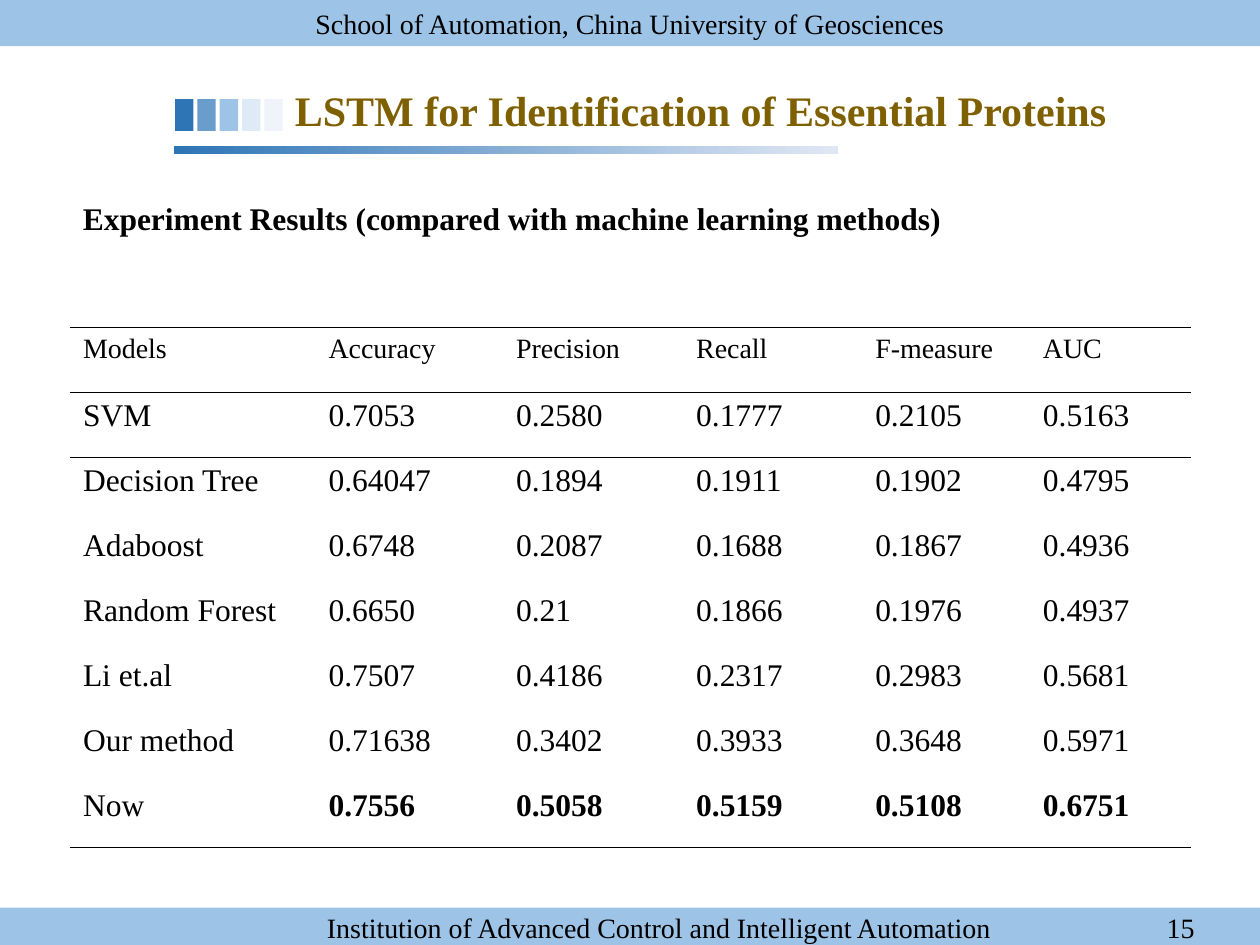
from dataclasses import dataclass
from typing import Optional

from lxml import etree
from pptx import Presentation
from pptx import util as u
from pptx.dml.color import RGBColor
from pptx.enum import shapes, text
from pptx.oxml import ns

FONT = "Times New Roman"
BLACK = RGBColor(0x00, 0x00, 0x00)
WHITE = RGBColor(0xFF, 0xFF, 0xFF)
GOLD = RGBColor(0x7F, 0x60, 0x00)
SKY = RGBColor(0x9D, 0xC3, 0xE6)
DEEP_BLUE = RGBColor(0x2E, 0x75, 0xB6)
PALE_BLUE = RGBColor(0xDE, 0xEB, 0xF7)
MIST = RGBColor(0xE0, 0xE7, 0xF4)
LEFT, CENTER, RIGHT = text.PP_ALIGN.LEFT, text.PP_ALIGN.CENTER, text.PP_ALIGN.RIGHT
TOP, MIDDLE = text.MSO_ANCHOR.TOP, text.MSO_ANCHOR.MIDDLE
NO_STYLE_TABLE = "{2D5ABB26-0587-4C30-8999-92F81FD0307C}"


@dataclass
class Box:
    """Position and size in centimetres."""
    left: float
    top: float
    width: float
    height: float

    def lengths(self) -> tuple:
        return tuple(u.Cm(v) for v in (self.left, self.top, self.width, self.height))


@dataclass
class Tile:
    color: RGBColor
    opacity: Optional[int] = None


@dataclass
class Label:
    content: str
    box: Box
    size: int = 16
    bold: bool = False
    align: int = CENTER
    anchor: int = MIDDLE


TILES = [Tile(DEEP_BLUE), Tile(DEEP_BLUE, 71), Tile(SKY), Tile(PALE_BLUE), Tile(PALE_BLUE, 50)]
TILE_PITCH = 0.45

LABELS = [
    Label("Institution of Advanced Control and Intelligent Automation",
          Box(5.45, 18.19, 15.67, 1.02)),
    Label("15", Box(22.73, 18.19, 1.6, 1.02), align=RIGHT),
    Label("Experiment Results (compared with machine learning methods)",
          Box(1.42, 3.89, 20.83, 1.2), size=18, bold=True, align=LEFT, anchor=TOP),
]

RESULTS = [
    ("Models", "Accuracy", "Precision", "Recall", "F-measure", "AUC"),
    ("SVM", "0.7053", "0.2580", "0.1777", "0.2105", "0.5163"),
    ("Decision Tree", "0.64047", "0.1894", "0.1911", "0.1902", "0.4795"),
    ("Adaboost", "0.6748", "0.2087", "0.1688", "0.1867", "0.4936"),
    ("Random Forest", "0.6650", "0.21", "0.1866", "0.1976", "0.4937"),
    ("Li et.al", "0.7507", "0.4186", "0.2317", "0.2983", "0.5681"),
    ("Our method", "0.71638", "0.3402", "0.3933", "0.3648", "0.5971"),
    ("Now", "0.7556", "0.5058", "0.5159", "0.5108", "0.6751"),
]
COLUMN_WIDTHS = [4.95, 3.78, 3.63, 3.61, 3.38, 3.24]
ROW_HEIGHT = 1.31
UNFILLED_ROWS = {0, 2}


def write_text(frame, content: str, size: int = 16, bold: bool = False,
               color: RGBColor = BLACK, align: int = LEFT) -> None:
    paragraph = frame.paragraphs[0]
    paragraph.alignment = align
    run = paragraph.add_run()
    run.text = content
    run.font.name, run.font.size = FONT, u.Pt(size)
    run.font.bold, run.font.color.rgb = bold, color


def add_bar(slide, box: Box, color: RGBColor, opacity: Optional[int] = None,
            fade_to: Optional[RGBColor] = None):
    bar = slide.shapes.add_shape(shapes.MSO_SHAPE.RECTANGLE, *box.lengths())
    bar.shadow.inherit = False
    bar.line.fill.background()
    if fade_to is not None:
        bar.fill.gradient()
        bar.fill.gradient_angle = 0
        for stop, shade in zip(bar.fill.gradient_stops, (color, fade_to)):
            stop.color.rgb = shade
        return bar
    bar.fill.solid()
    bar.fill.fore_color.rgb = color
    if opacity is not None:
        rgb = bar.fill._xPr.find(".//" + ns.qn("a:srgbClr"))
        etree.SubElement(rgb, ns.qn("a:alpha"), val=str(opacity * 1000))
    return bar


def add_label(slide, label: Label) -> None:
    frame = slide.shapes.add_textbox(*label.box.lengths()).text_frame
    frame.word_wrap = True
    frame.vertical_anchor = label.anchor
    write_text(frame, label.content, size=label.size, bold=label.bold, align=label.align)


def rule_cell(cell, edge: str) -> None:
    """Draw a thin black line on the cell's edge, "lnT" or "lnB"."""
    line = etree.SubElement(cell._tc.get_or_add_tcPr(), ns.qn(f"a:{edge}"), w=str(u.Pt(0.45)))
    fill = etree.SubElement(line, ns.qn("a:solidFill"))
    etree.SubElement(fill, ns.qn("a:srgbClr"), val=str(BLACK))


def add_results_table(slide) -> None:
    box = Box(1.42, 6.6, sum(COLUMN_WIDTHS), ROW_HEIGHT * len(RESULTS))
    table = slide.shapes.add_table(len(RESULTS), len(COLUMN_WIDTHS), *box.lengths()).table
    table._tbl.tblPr.find(ns.qn("a:tableStyleId")).text = NO_STYLE_TABLE
    table.first_row = table.horz_banding = False
    for column, width in zip(table.columns, COLUMN_WIDTHS):
        column.width = u.Cm(width)
    last = len(RESULTS) - 1
    for r, values in enumerate(RESULTS):
        table.rows[r].height = u.Cm(ROW_HEIGHT)
        for c, value in enumerate(values):
            cell = table.cell(r, c)
            write_text(cell.text_frame, value, size=18 if r else 16, bold=r == last and c > 0)
            if r in (0, 1):
                rule_cell(cell, "lnT")
            if r in (0, last):
                rule_cell(cell, "lnB")
            if r in UNFILLED_ROWS:
                cell.fill.background()
            else:
                cell.fill.solid()
                cell.fill.fore_color.rgb = WHITE


def add_title(slide, content: str, box: Box) -> None:
    title = slide.shapes.title
    title.left, title.top, title.width, title.height = box.lengths()
    frame = title.text_frame
    frame.auto_size = text.MSO_AUTO_SIZE.NONE
    frame.vertical_anchor = TOP
    write_text(frame, content, size=24, bold=True, color=GOLD)


def main() -> None:
    deck = Presentation()
    deck.slide_width, deck.slide_height = u.Cm(25.4), u.Cm(19.05)
    slide = deck.slides.add_slide(deck.slide_layouts[5])

    header = add_bar(slide, Box(0, 0, 25.4, 0.93), SKY)
    header.text_frame.vertical_anchor = MIDDLE
    write_text(header.text_frame, "School of Automation, China University of Geosciences",
               align=CENTER)
    add_bar(slide, Box(0, 18.3, 25.4, 0.75), SKY)

    for i, tile in enumerate(TILES):
        add_bar(slide, Box(3.53 + i * TILE_PITCH, 2, 0.37, 0.64), tile.color, tile.opacity)
    add_bar(slide, Box(3.51, 2.95, 13.38, 0.15), DEEP_BLUE, fade_to=MIST)

    add_title(slide, "LSTM for Identification of Essential Proteins", Box(5.69, 1.58, 19.2, 1.28))
    for label in LABELS:
        add_label(slide, label)
    add_results_table(slide)
    deck.save("out.pptx")


if __name__ == "__main__":
    main()
